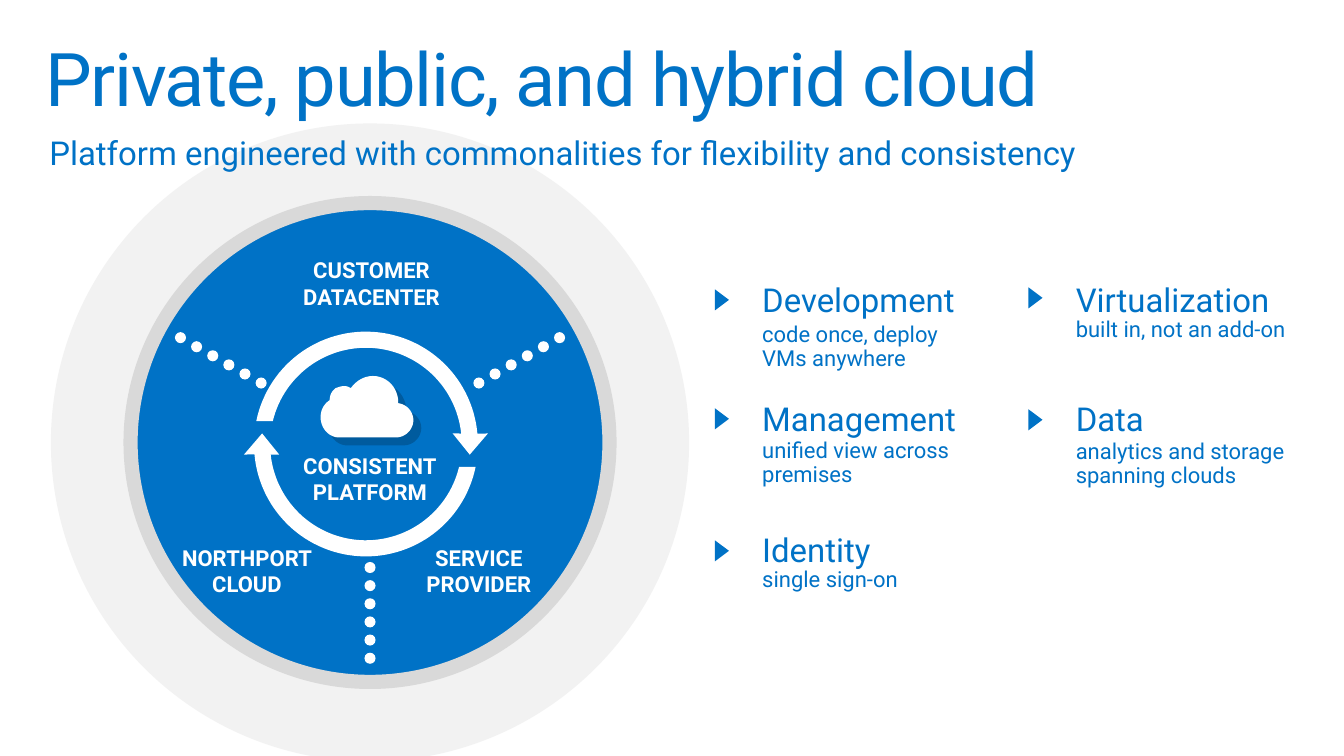
from math import cos, radians, sin

from lxml import etree
from pptx import Presentation
from pptx.dml.color import RGBColor
from pptx.enum.shapes import MSO_SHAPE
from pptx.enum.text import MSO_ANCHOR, PP_ALIGN
from pptx.oxml.ns import qn
from pptx.util import Inches, Pt

OVAL = MSO_SHAPE.OVAL
LEFT, CENTER = PP_ALIGN.LEFT, PP_ALIGN.CENTER
TOP, MIDDLE = MSO_ANCHOR.TOP, MSO_ANCHOR.MIDDLE


def color(value):
    return RGBColor.from_string(value)


def arc(center_x, center_y, radius, start, end, steps=60):
    angles = [radians(start + (end - start) * i / steps) for i in range(steps + 1)]
    return [(center_x + radius * cos(a), center_y + radius * sin(a)) for a in angles]


def curve(start, segments, steps=12):
    points = [start]
    for x1, y1, x2, y2, x3, y3 in segments:
        x0, y0 = points[-1]
        for i in range(1, steps + 1):
            t = i / steps
            weights = ((1 - t) ** 3, 3 * t * (1 - t) ** 2, 3 * t * t * (1 - t), t ** 3)
            points.append((
                sum(w * x for w, x in zip(weights, (x0, x1, x2, x3))),
                sum(w * y for w, y in zip(weights, (y0, y1, y2, y3))),
            ))
    return points


class CloudSlide:
    font = "Roboto"
    blue = "0072C6"
    white = "FFFFFF"
    pale = "F2F2F2"
    grey = "D9D9D9"
    large, medium, small = 52.9, 23.5, 15.7

    def __init__(self, slide):
        self.slide = slide

    def paint(self, shape, fill, line=None, width=0):
        shape.shadow.inherit = False
        if fill:
            shape.fill.solid()
            shape.fill.fore_color.rgb = color(fill)
        else:
            shape.fill.background()
        if line:
            shape.line.color.rgb = color(line)
            shape.line.width = Pt(width)
        else:
            shape.line.fill.background()
        return shape

    def circle(self, center_x, center_y, diameter, fill, line=None, width=0):
        left, top = center_x - diameter / 2, center_y - diameter / 2
        shape = self.slide.shapes.add_shape(
            OVAL, Inches(left), Inches(top), Inches(diameter), Inches(diameter))
        self.paint(shape, fill, line, width)

    def spoke(self, x, y, step_x, step_y):
        for i in range(6):
            self.circle(x + i * step_x, y + i * step_y, 0.11, self.white)

    def outline(self, points, fill):
        start, *rest = [(Inches(x), Inches(y)) for x, y in points]
        builder = self.slide.shapes.build_freeform(*start)
        builder.add_line_segments(rest, close=True)
        return self.paint(builder.convert_to_shape(), fill)

    def cast_shadow(self, shape):
        effects = shape._element.spPr.find(qn("a:effectLst"))
        shadow = etree.SubElement(
            effects, qn("a:outerShdw"), blurRad="0", dist=str(Pt(8)),
            dir="2700000", algn="tl", rotWithShape="0")
        black = etree.SubElement(shadow, qn("a:srgbClr"), val="000000")
        etree.SubElement(black, qn("a:alpha"), val="20000")

    def text(self, box, words, size, ink, insets, bold=False, align=LEFT,
             anchor=TOP, wrap=True, line_spacing=None, after=0, tracking=None):
        frame = self.slide.shapes.add_textbox(*map(Inches, box)).text_frame
        frame.word_wrap = wrap
        frame.vertical_anchor = anchor
        frame.margin_left = frame.margin_right = Inches(insets[0])
        frame.margin_top, frame.margin_bottom = Inches(insets[1]), Inches(insets[2])
        paragraph = frame.paragraphs[0]
        paragraph.alignment = align
        paragraph.space_after = Pt(after)
        if line_spacing:
            paragraph.line_spacing = line_spacing
        for i, part in enumerate(words.split("\n")):
            if i:
                paragraph.add_line_break()
            run = paragraph.add_run()
            run.text = part
            run.font.name = self.font
            run.font.size = Pt(size)
            run.font.bold = bold
            run.font.color.rgb = color(ink)
            if tracking:
                run.font._element.set("spc", str(tracking))

    def label(self, box, words, anchor=MIDDLE):
        self.text(box, words, self.small, self.white, (0.1, 0.1, 0.1),
                  bold=True, align=CENTER, anchor=anchor)

    def feature(self, left, top, marker_top, detail_top, detail_width, heading, detail):
        style = dict(ink=self.blue, insets=(0.2, 0.16, 0.16), line_spacing=0.9, after=5.9)
        self.text((left, top, 2.86, 0.98), heading, self.medium, wrap=False, **style)
        self.text((left, detail_top, detail_width, 0.58), detail, self.small, **style)
        tip, base = left - 0.13, left - 0.27
        self.outline([(base, marker_top), (tip, marker_top + 0.105),
                      (base, marker_top + 0.21)], self.blue)


def main():
    presentation = Presentation()
    presentation.slide_width = Inches(13.33)
    presentation.slide_height = Inches(7.5)
    page = CloudSlide(presentation.slides.add_slide(presentation.slide_layouts[6]))

    hub_x, hub_y = 3.67, 4.39
    page.circle(hub_x, hub_y, 6.33, page.pale)
    page.circle(hub_x, hub_y, 4.78, page.blue)
    page.circle(hub_x, hub_y, 4.75, None, page.grey, 10.13)
    page.spoke(hub_x, 5.63, 0, 0.18)
    for side in (-1, 1):
        page.spoke(hub_x + side * 1.08, 3.8, side * 0.16, -0.09)

    page.label((2.68, 2.42, 2.01, 0.78), "CUSTOMER DATACENTER")
    page.label((3.97, 5.27, 1.56, 0.78), "SERVICE PROVIDER")
    page.label((1.67, 5.27, 1.56, 0.78), "NORTHPORT\nCLOUD")

    page.text((0.29, 0.32, 12.75, 0.98), "Private, public, and hybrid cloud",
              page.large, page.blue, (0.16, 0.1, 0.1), line_spacing=0.9, tracking=-100)
    page.text((0.29, 1.21, 10.87, 0.56),
              "Platform engineered with commonalities for flexibility and consistency",
              page.medium, page.blue, (0.2, 0.15, 0.05), line_spacing=0.9)

    features = [
        (7.36, 2.66, 2.87, 3.05, 2.27, "Development", "code once, deploy VMs anywhere"),
        (7.36, 3.84, 4.05, 4.2, 2.76, "Management", "unified view across premises"),
        (7.36, 5.14, 5.36, 5.52, 2.86, "Identity", "single sign-on"),
        (10.47, 2.66, 2.85, 3.04, 2.86, "Virtualization", "built in, not an add-on"),
        (10.47, 3.84, 4.06, 4.21, 2.86, "Data", "analytics and storage\nspanning clouds"),
    ]
    for feature in features:
        page.feature(*feature)

    cycle_x, cycle_y = 3.63, 4.4
    upper_arrow = (arc(cycle_x, cycle_y, 1.11, -5, -168.5)
                   + arc(cycle_x, cycle_y, 0.95, -166.5, -6)
                   + [(4.49, 4.3), (4.66, 4.51), (4.84, 4.3)])
    lower_arrow = [(2 * cycle_x - x, 2 * cycle_y + 0.01 - y) for x, y in upper_arrow]
    for arrow in (upper_arrow, lower_arrow):
        page.outline(arrow, page.white)

    page.label((2.89, 4.39, 1.56, 0.72), "CONSISTENT\nPLATFORM", anchor=TOP)

    cloud = curve((3.95, 3.99), [
        (3.95, 3.85, 3.84, 3.73, 3.7, 3.73),
        (3.61, 3.73, 3.53, 3.78, 3.48, 3.85),
        (3.46, 3.84, 3.44, 3.83, 3.42, 3.83),
        (3.38, 3.83, 3.36, 3.84, 3.33, 3.85),
        (3.29, 3.88, 3.27, 3.92, 3.27, 3.97),
        (3.21, 4.01, 3.18, 4.07, 3.18, 4.14),
        (3.18, 4.24, 3.25, 4.33, 3.35, 4.34),
    ]) + curve((3.93, 4.34), [
        (4.02, 4.34, 4.1, 4.26, 4.1, 4.17),
        (4.1, 4.08, 4.03, 4.01, 3.95, 4),
    ])
    page.cast_shadow(page.outline(cloud, page.white))

    presentation.save("out.pptx")


if __name__ == "__main__":
    main()
